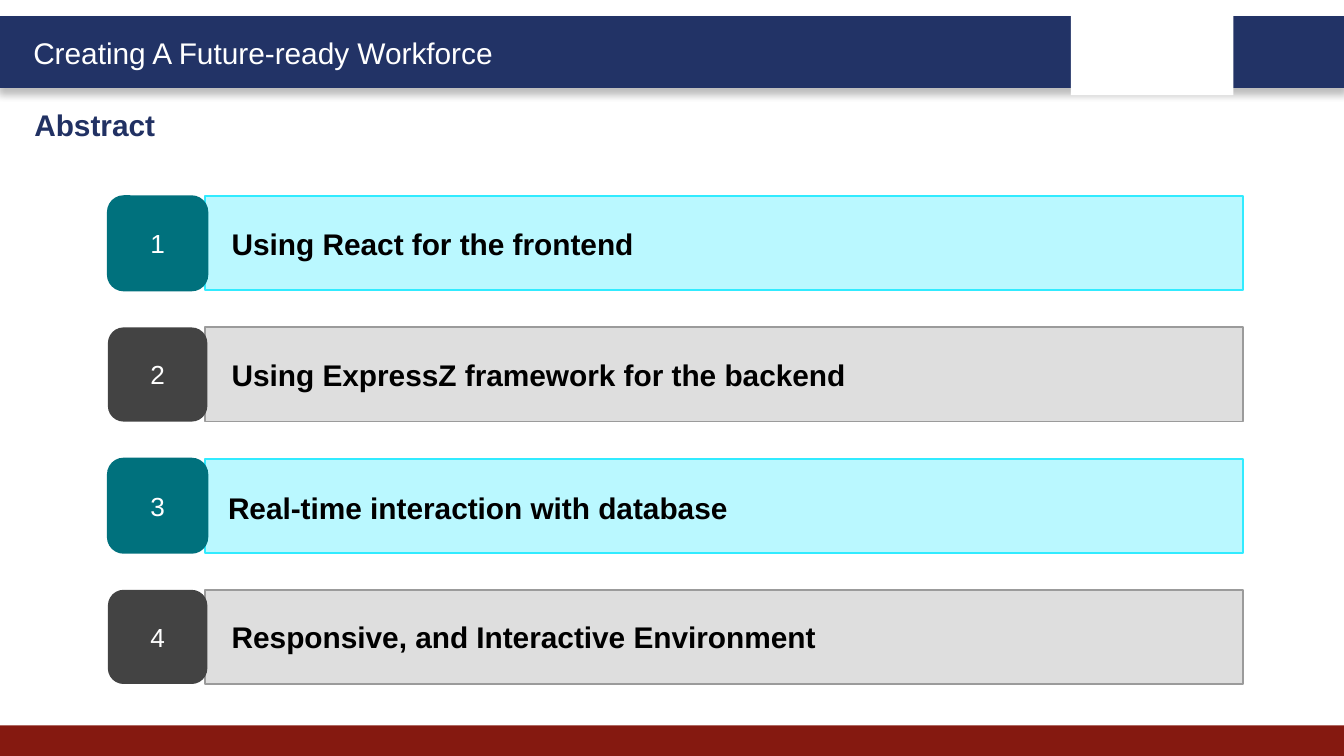
from lxml.etree import SubElement
from pptx import Presentation
from pptx.dml.color import RGBColor
from pptx.enum.shapes import MSO_SHAPE
from pptx.enum.text import MSO_ANCHOR, MSO_AUTO_SIZE, PP_ALIGN
from pptx.oxml.ns import qn
from pptx.util import Cm, Pt

NAVY = RGBColor(0x22, 0x33, 0x66)
HEADING_BLUE = RGBColor(0x21, 0x31, 0x63)
RED = RGBColor(0x85, 0x19, 0x10)
TEAL = RGBColor(0x00, 0x71, 0x7D)
PALE_CYAN = RGBColor(0xBA, 0xF8, 0xFF)
CYAN = RGBColor(0x31, 0xEB, 0xFF)
CHARCOAL = RGBColor(0x43, 0x43, 0x43)
PALE_GRAY = RGBColor(0xDE, 0xDE, 0xDE)
GRAY = RGBColor(0x9B, 0x9B, 0x9B)
BLACK = RGBColor(0x00, 0x00, 0x00)
WHITE = RGBColor(0xFF, 0xFF, 0xFF)

SLIDE_WIDTH, SLIDE_HEIGHT = 25.4, 14.29
ROW_TOP, ROW_HEIGHT, ROW_PITCH = 3.71, 1.78, 2.48
# badge fill, badge line, bar fill, bar line
ROW_COLORS = [(TEAL, TEAL, PALE_CYAN, CYAN), (CHARCOAL, None, PALE_GRAY, GRAY)]
TOPICS = [
    "Using React for the frontend",
    "Using ExpressZ framework for the backend",
    "Real-time interaction with database",
    "Responsive, and Interactive Environment",
]
FLOATING_TOPIC = 3


class SlideBuilder:
    font_name = "Arial"

    def __init__(self, slide):
        self.slide = slide

    def set_text(self, shape, text, size, color, bold=False):
        text_frame = shape.text_frame
        text_frame.text = text
        font = text_frame.paragraphs[0].runs[0].font
        font.name, font.size, font.bold = self.font_name, Pt(size), bold
        font.color.rgb = color
        return text_frame.paragraphs[0]

    def box(self, kind, left, top, width, height, fill, line=None, line_width=1):
        shape = self.slide.shapes.add_shape(
            kind, Cm(left), Cm(top), Cm(width), Cm(height))
        shape.shadow.inherit = False
        shape.fill.solid()
        shape.fill.fore_color.rgb = fill
        if line is None:
            shape.line.fill.background()
        else:
            shape.line.color.rgb = line
            shape.line.width = Pt(line_width)
        shape.text_frame.word_wrap = True
        shape.text_frame.vertical_anchor = MSO_ANCHOR.MIDDLE
        return shape

    def label(self, text, left, top, width, color, bold=True):
        shape = self.slide.shapes.add_textbox(
            Cm(left), Cm(top), Cm(width), Cm(0.94))
        shape.text_frame.word_wrap = True
        shape.text_frame.auto_size = MSO_AUTO_SIZE.SHAPE_TO_FIT_TEXT
        self.set_text(shape, text, 16, color, bold)

    def drop_shadow(self, shape):
        """Add a soft shadow straight below the shape."""
        effects = shape._element.spPr.find(qn("a:effectLst"))
        shadow = SubElement(effects, qn("a:outerShdw"), blurRad=str(Pt(4)),
                            dist=str(Pt(3)), dir="5400000", rotWithShape="0")
        color = SubElement(shadow, qn("a:srgbClr"), val=str(BLACK))
        SubElement(color, qn("a:alpha"), val="25000")

    def topic_row(self, number, topic):
        top = ROW_TOP + (number - 1) * ROW_PITCH
        badge_fill, badge_line, bar_fill, bar_line = ROW_COLORS[(number - 1) % 2]
        bar = self.box(MSO_SHAPE.RECTANGLE, 3.88, top, 19.61, ROW_HEIGHT,
                       bar_fill, bar_line)
        if number != FLOATING_TOPIC:
            paragraph = self.set_text(bar, topic, 16, BLACK, bold=True)
            paragraph.alignment = PP_ALIGN.LEFT
            paragraph._p.get_or_add_pPr().set("marL", str(Cm(0.25)))
        badge = self.box(MSO_SHAPE.ROUNDED_RECTANGLE, 2.04, top, 1.88, ROW_HEIGHT,
                         badge_fill, badge_line)
        self.set_text(badge, str(number), 14, WHITE).alignment = PP_ALIGN.CENTER
        if number == FLOATING_TOPIC:
            self.label(topic, 4.06, top + 0.46, 12.88, BLACK)


def main():
    presentation = Presentation()
    presentation.slide_width = Cm(SLIDE_WIDTH)
    presentation.slide_height = Cm(SLIDE_HEIGHT)
    builder = SlideBuilder(
        presentation.slides.add_slide(presentation.slide_layouts[6]))

    header = builder.box(MSO_SHAPE.RECTANGLE, 0, 0.33, SLIDE_WIDTH, 1.3,
                         NAVY, NAVY, 2)
    builder.drop_shadow(header)
    builder.box(MSO_SHAPE.RECTANGLE, 0, 13.71, SLIDE_WIDTH, 0.58, RED)
    builder.box(MSO_SHAPE.RECTANGLE, 20.24, 0.18, 3.07, 1.62, WHITE)
    builder.label("Creating A Future-ready Workforce", 0.38, 0.53, 9.6, WHITE,
                  bold=False)
    builder.label("Abstract", 0.4, 1.9, 12.3, HEADING_BLUE)

    for number, topic in enumerate(TOPICS, start=1):
        builder.topic_row(number, topic)

    presentation.save("out.pptx")


if __name__ == "__main__":
    main()
